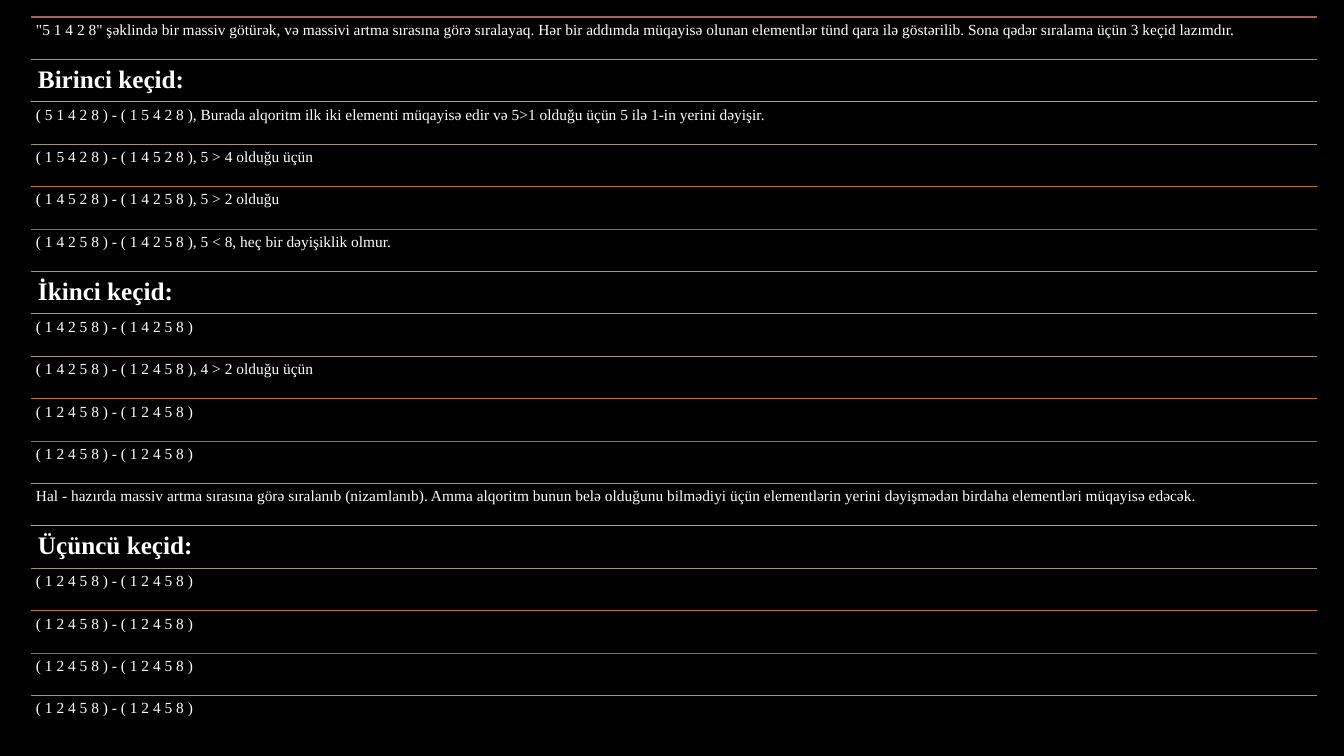
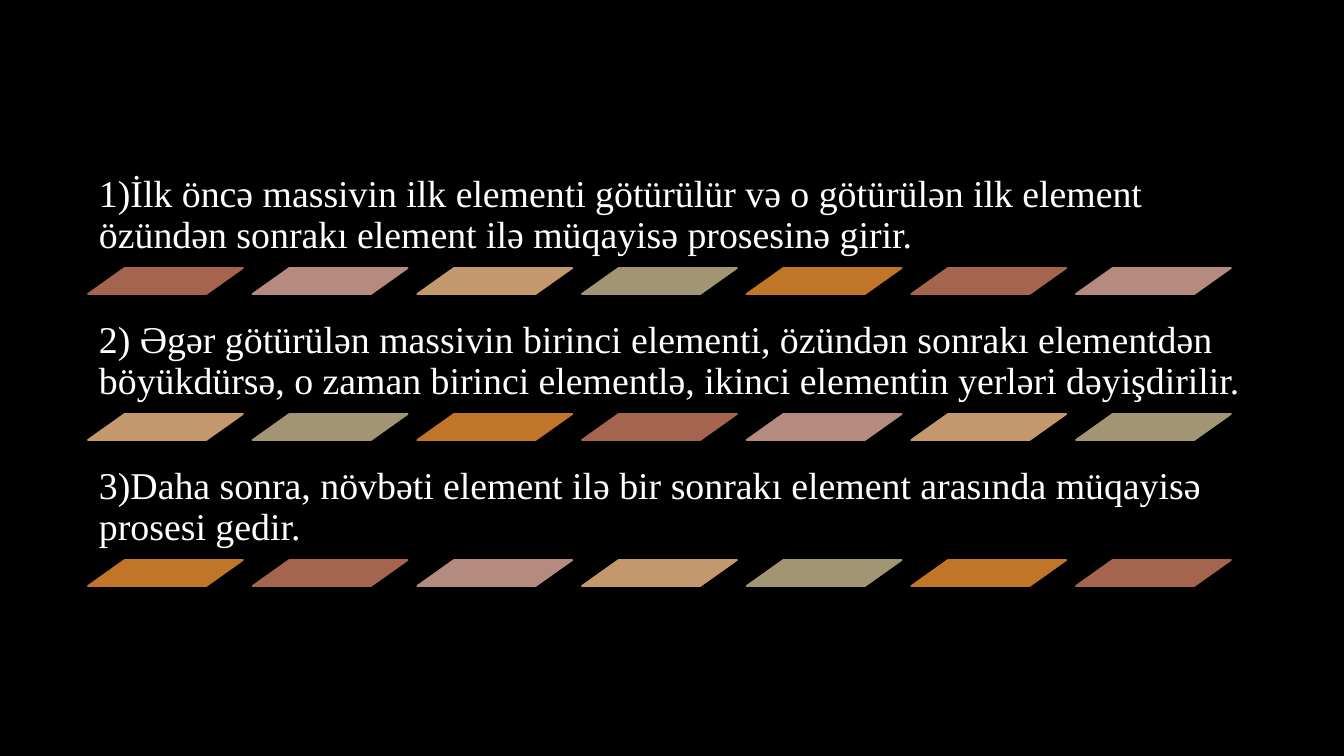
from itertools import cycle, islice

from lxml.etree import SubElement
from pptx import Presentation
from pptx.dml.color import RGBColor
from pptx.enum.shapes import MSO_CONNECTOR, MSO_SHAPE
from pptx.enum.text import MSO_ANCHOR
from pptx.oxml.ns import qn
from pptx.util import Emu, Pt

# Shared style
EMU_PER_PX = 914400 / 100.8
FONT = "Times New Roman"
BLACK, WHITE = "000000", "FFFFFF"
ACCENTS = ["A5644E", "B58B80", "C3986D", "A19574", "C17529"]
color = RGBColor.from_string


def px(length):
    return Emu(round(length * EMU_PER_PX))


def add_text(slide, text, left, top, width, height, size, inset,
             bold=False, anchor=MSO_ANCHOR.TOP):
    frame = slide.shapes.add_textbox(px(left), px(top), px(width), px(height)).text_frame
    frame.word_wrap = True
    frame.vertical_anchor = anchor
    frame.margin_left = frame.margin_right = px(inset)
    frame.margin_top = frame.margin_bottom = px(inset)
    paragraph = frame.paragraphs[0]
    paragraph.line_spacing = 0.9
    run = paragraph.add_run()
    run.text = text
    run.font.name = FONT
    run.font.size = Pt(size)
    run.font.bold = bold
    run.font.color.rgb = color(WHITE)


prs = Presentation()
prs.slide_width, prs.slide_height = px(1344), px(756)
background = prs.slide_master.background.fill
background.solid()
background.fore_color.rgb = color(BLACK)
blank = prs.slide_layouts[6]

# Slide 1: passes of the sort, one ruled row per step
passes_slide = prs.slides.add_slide(blank)
rows = [
    '"5 1 4 2 8" şəklində bir massiv götürək, və massivi artma sırasına görə sıralayaq. '
    "Hər bir addımda müqayisə olunan elementlər tünd qara ilə göstərilib. "
    "Sona qədər sıralama üçün 3 keçid lazımdır.",
    "Birinci keçid:",
    "( 5 1 4 2 8 ) - ( 1 5 4 2 8 ), Burada alqoritm ilk iki elementi müqayisə edir "
    "və 5>1 olduğu üçün 5 ilə 1-in yerini dəyişir.",
    "( 1 5 4 2 8 ) - ( 1 4 5 2 8 ), 5 > 4 olduğu üçün",
    "( 1 4 5 2 8 ) - ( 1 4 2 5 8 ), 5 > 2 olduğu",
    "( 1 4 2 5 8 ) - ( 1 4 2 5 8 ), 5 < 8, heç bir dəyişiklik olmur.",
    "İkinci keçid:",
    "( 1 4 2 5 8 ) - ( 1 4 2 5 8 )",
    "( 1 4 2 5 8 ) - ( 1 2 4 5 8 ), 4 > 2 olduğu üçün",
    "( 1 2 4 5 8 ) - ( 1 2 4 5 8 )",
    "( 1 2 4 5 8 ) - ( 1 2 4 5 8 )",
    "Hal - hazırda massiv artma sırasına görə sıralanıb (nizamlanıb). "
    "Amma alqoritm bunun belə olduğunu bilmədiyi üçün elementlərin yerini dəyişmədən "
    "birdaha elementləri müqayisə edəcək.",
    "Üçüncü keçid:",
] + ["( 1 2 4 5 8 ) - ( 1 2 4 5 8 )"] * 4
ROWS_LEFT, ROWS_TOP, ROWS_WIDTH, ROWS_HEIGHT = 31, 17, 1286, 721
row_height = ROWS_HEIGHT / len(rows)

for index, (row, accent) in enumerate(zip(rows, cycle(ACCENTS))):
    top = ROWS_TOP + index * row_height
    rule = passes_slide.shapes.add_connector(
        MSO_CONNECTOR.STRAIGHT, px(ROWS_LEFT), px(top), px(ROWS_LEFT + ROWS_WIDTH), px(top))
    rule.line.color.rgb = color(accent)
    rule.line.width = Pt(0.75)
    SubElement(rule._element.spPr, qn("a:effectLst"))
    is_heading = row.endswith("keçid:")
    add_text(passes_slide, row, ROWS_LEFT, top, ROWS_WIDTH, row_height,
             size=18 if is_heading else 11, inset=7 if is_heading else 5, bold=is_heading)

# Slide 2: three steps, each above a strip of parallelograms
steps_slide = prs.slides.add_slide(blank)
steps = [
    "1)İlk öncə massivin ilk elementi götürülür və o götürülən ilk element "
    "özündən sonrakı element ilə müqayisə prosesinə girir.",
    "2) Əgər götürülən massivin birinci elementi, özündən sonrakı elementdən "
    "böyükdürsə, o zaman birinci elementlə, ikinci elementin yerləri dəyişdirilir.",
    "3)Daha sonra, növbəti element ilə bir sonrakı element arasında "
    "müqayisə prosesi gedir.",
]
STEPS_LEFT, STEPS_TOP, STEP_PITCH = 88, 162, 146
STEP_WIDTH, STEP_HEIGHT = 1167, 106
TILES, TILE_WIDTH, TILE_HEIGHT = 7, 155, 26
tile_pitch = 988 / (TILES - 1)
tile_colors = cycle(ACCENTS)

for index, step in enumerate(steps):
    top = STEPS_TOP + index * STEP_PITCH
    add_text(steps_slide, step, STEPS_LEFT, top, STEP_WIDTH, STEP_HEIGHT,
             size=27, inset=11, anchor=MSO_ANCHOR.BOTTOM)
    for column, accent in enumerate(islice(tile_colors, TILES)):
        tile = steps_slide.shapes.add_shape(
            MSO_SHAPE.PARALLELOGRAM, px(STEPS_LEFT + column * tile_pitch),
            px(top + STEP_HEIGHT), px(TILE_WIDTH), px(TILE_HEIGHT))
        tile.adjustments[0] = 1.41
        tile.shadow.inherit = False
        tile.fill.solid()
        tile.fill.fore_color.rgb = color(accent)
        tile.line.color.rgb = color(accent)
        tile.line.width = Pt(1.25)

prs.save("out.pptx")
